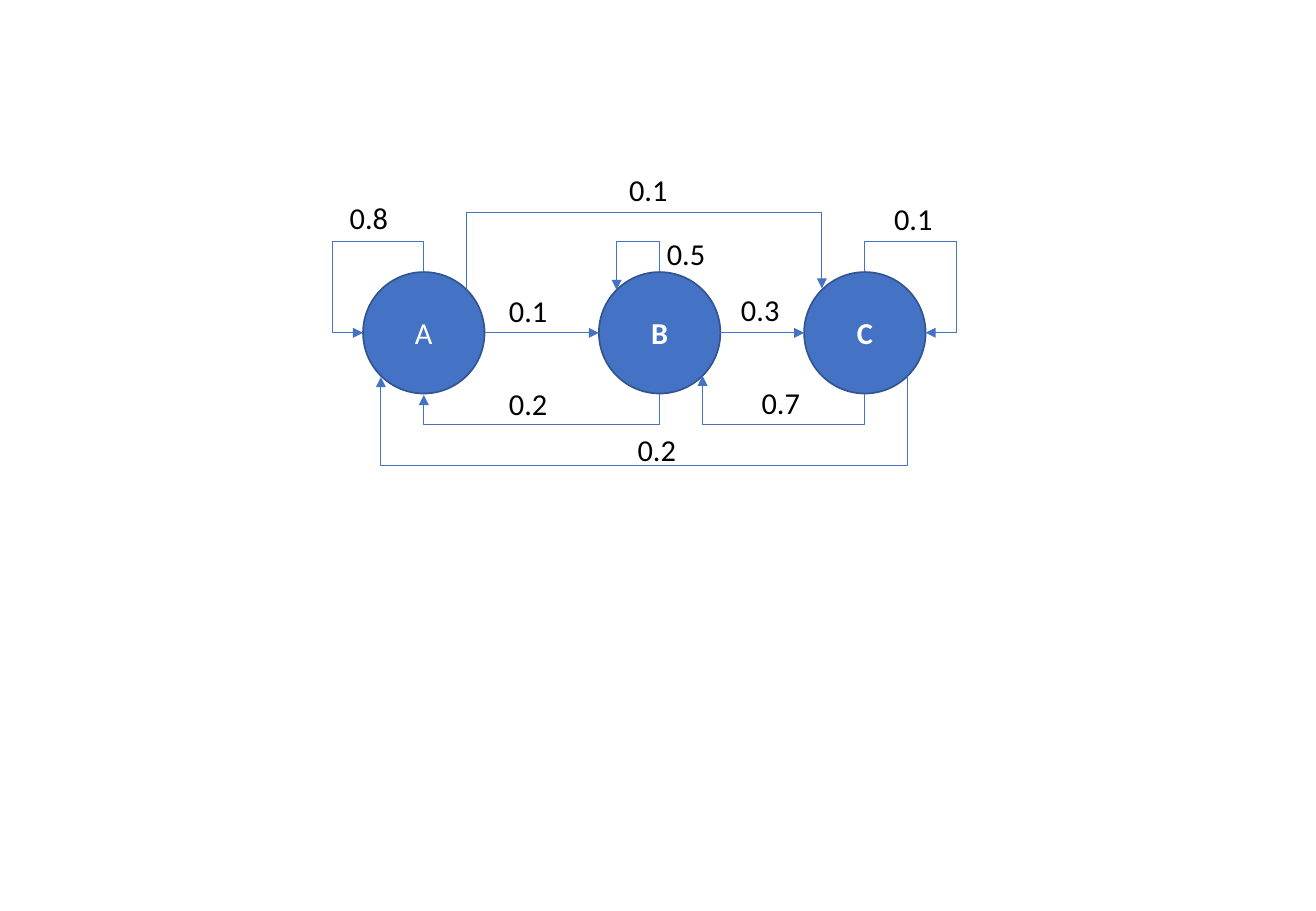
import math
from dataclasses import dataclass

import lxml.etree
import pptx
import pptx.dml.color
import pptx.enum.shapes
import pptx.enum.text
import pptx.oxml.ns
import pptx.util

Cm = pptx.util.Cm
Pt = pptx.util.Pt
qn = pptx.oxml.ns.qn
rgb = pptx.dml.color.RGBColor.from_string


@dataclass(frozen=True)
class Theme:
    font: str = "Calibri"
    size: int = 18
    state_fill: str = "4472C4"
    state_line: str = "325491"
    state_text: str = "FFFFFF"
    arrow: str = "4472C4"
    label: str = "000000"


THEME = Theme()

# Connection sites of a circle: index and direction from its centre
D = math.sqrt(0.5)
SITES = {"N": (0, 0, -1), "NW": (1, -D, -D), "W": (2, -1, 0), "SW": (3, -D, D),
         "S": (4, 0, 1), "SE": (5, D, D), "E": (6, 1, 0), "NE": (7, D, -D)}

DIAMETER = 2.54
CENTRE_Y = 3.51
STATES = {"A": (1.9, False), "B": (6.83, True), "C": (11.12, True)}  # centre x, bold

# Heights of the horizontal arrow lanes
TOP, UPPER, LOWER, BOTTOM = 1.0, 1.6, 5.42, 6.28

# From, site, to, site, lane, outer side, probability, label left and top
TRANSITIONS = [
    ("A", "N", "A", "W", UPPER, 0, "0.8", 0.1, 0.59),
    ("A", "E", "B", "W", None, None, "0.1", 3.43, 2.54),
    ("B", "E", "C", "W", None, None, "0.3", 8.28, 2.52),
    ("B", "S", "A", "S", LOWER, None, "0.2", 3.43, 4.47),
    ("B", "N", "B", "NW", UPPER, None, "0.5", 6.73, 1.35),
    ("C", "S", "B", "SE", LOWER, None, "0.7", 8.71, 4.45),
    ("C", "N", "C", "E", UPPER, 13.03, "0.1", 11.48, 0.61),
    ("A", "NE", "C", "NW", TOP, None, "0.1", 5.94, 0),
    ("C", "SE", "A", "SW", BOTTOM, None, "0.2", 6.12, 5.44),
]


def write(frame, text, color, bold=False):
    run = frame.paragraphs[0].add_run()
    run.text = text
    run.font.name = THEME.font
    run.font.size = Pt(THEME.size)
    run.font.bold = bold
    run.font.color.rgb = rgb(color)


def add_state(slide, name, x, y, bold):
    circle = slide.shapes.add_shape(
        pptx.enum.shapes.MSO_SHAPE.OVAL, x - Cm(DIAMETER / 2), y - Cm(DIAMETER / 2),
        Cm(DIAMETER), Cm(DIAMETER))
    circle.shadow.inherit = False
    circle.fill.solid()
    circle.fill.fore_color.rgb = rgb(THEME.state_fill)
    circle.line.color.rgb = rgb(THEME.state_line)
    circle.line.width = Pt(1)
    circle.text_frame.vertical_anchor = pptx.enum.text.MSO_ANCHOR.MIDDLE
    circle.text_frame.paragraphs[0].alignment = pptx.enum.text.PP_ALIGN.CENTER
    write(circle.text_frame, name, THEME.state_text, bold)
    return circle


def add_probability(slide, text, left, top):
    label = slide.shapes.add_textbox(left, top, Cm(1.32), Cm(1.02))
    label.text_frame.word_wrap = False
    label.text_frame.auto_size = pptx.enum.text.MSO_AUTO_SIZE.SHAPE_TO_FIT_TEXT
    write(label.text_frame, text, THEME.label)


def site_point(circle, site):
    radius = circle.width / 2
    _, across, down = SITES[site]
    return (round(circle.left + radius * (1 + across)),
            round(circle.top + radius * (1 + down)))


def style_arrow(arrow, source, source_site, target, target_site):
    arrow.line.color.rgb = rgb(THEME.arrow)
    arrow.line.width = Pt(0.5)
    lxml.etree.SubElement(arrow.line._get_or_add_ln(), qn("a:tailEnd"), type="triangle")
    lxml.etree.SubElement(arrow.element.spPr, qn("a:effectLst"))
    ends = arrow.element.find(".//" + qn("p:cNvCxnSpPr"))
    for tag, circle, site in (("a:stCxn", source, source_site),
                              ("a:endCxn", target, target_site)):
        lxml.etree.SubElement(ends, qn(tag), id=str(circle.shape_id),
                              idx=str(SITES[site][0]))


def add_straight(slide, start, end):
    return slide.shapes.add_connector(
        pptx.enum.shapes.MSO_CONNECTOR.STRAIGHT, *start, *end)


def add_bent(slide, start, end, lane, side):
    """Leave start vertically, follow the lane, then optionally an outer side, to end."""
    (x1, y1), (x2, y2) = start, end
    dx = x2 - x1
    dy = (y2 - y1) or round(math.copysign(Cm(0.03), lane - y1))
    width, height = abs(dy), abs(dx)
    left = round(x1 + dx / 2 - width / 2)
    top = round(y1 + dy / 2 - height / 2)
    arrow = slide.shapes.add_connector(
        pptx.enum.shapes.MSO_CONNECTOR.ELBOW, left, top, left + width, top + height)

    # The preset runs horizontally, so it is turned a quarter and mirrored
    turned_back = dy > 0 and lane < y1
    frame = arrow.element.spPr.find(qn("a:xfrm"))
    frame.set("rot", str((270 if turned_back else 90) * 60000))
    frame.set("flipH", str(int(dy < 0 or turned_back)))
    frame.set("flipV", str(int((dx > 0) != turned_back)))

    bends = [(lane - y1) / dy]
    if side is not None:
        bends.append((side - x1) / dx)
    preset = arrow.element.spPr.find(qn("a:prstGeom"))
    preset.set("prst", f"bentConnector{2 + len(bends)}")
    guides = preset.find(qn("a:avLst"))
    for number, bend in enumerate(bends, 1):
        lxml.etree.SubElement(guides, qn("a:gd"), name=f"adj{number}",
                              fmla=f"val {round(bend * 100000)}")
    return arrow


def add_markov_chain(slide, left, top):
    # States
    circles = {name: add_state(slide, name, left + Cm(x), top + Cm(CENTRE_Y), bold)
               for name, (x, bold) in STATES.items()}

    # Transitions with their probabilities
    for (source, source_site, target, target_site, lane, side,
         probability, label_x, label_y) in TRANSITIONS:
        start = site_point(circles[source], source_site)
        end = site_point(circles[target], target_site)
        if lane is None:
            arrow = add_straight(slide, start, end)
        else:
            outer = None if side is None else left + Cm(side)
            arrow = add_bent(slide, start, end, top + Cm(lane), outer)
        style_arrow(arrow, circles[source], source_site, circles[target], target_site)
        add_probability(slide, probability, left + Cm(label_x), top + Cm(label_y))


deck = pptx.Presentation()
deck.slide_width = Cm(27.51)
deck.slide_height = Cm(19.05)
chain_slide = deck.slides.add_slide(deck.slide_layouts[6])
add_markov_chain(chain_slide, Cm(6.96), Cm(3.45))
deck.save("out.pptx")
